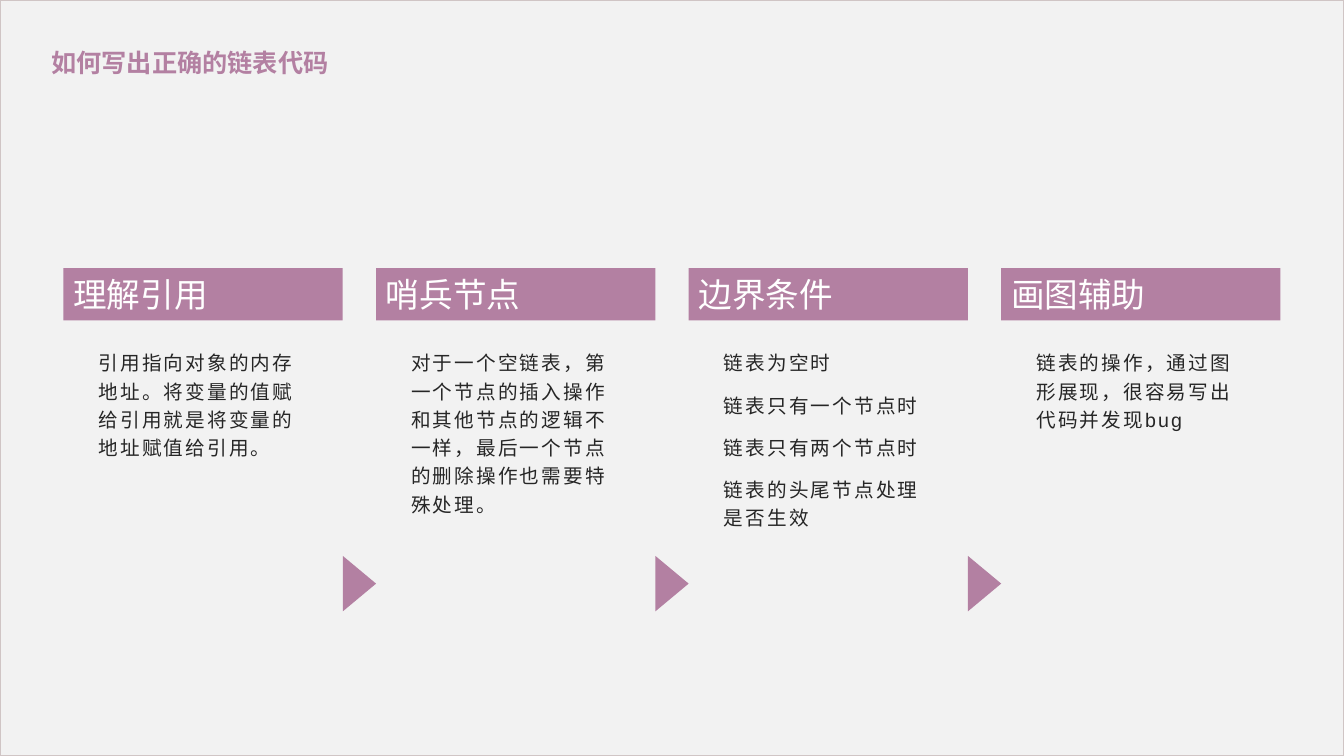
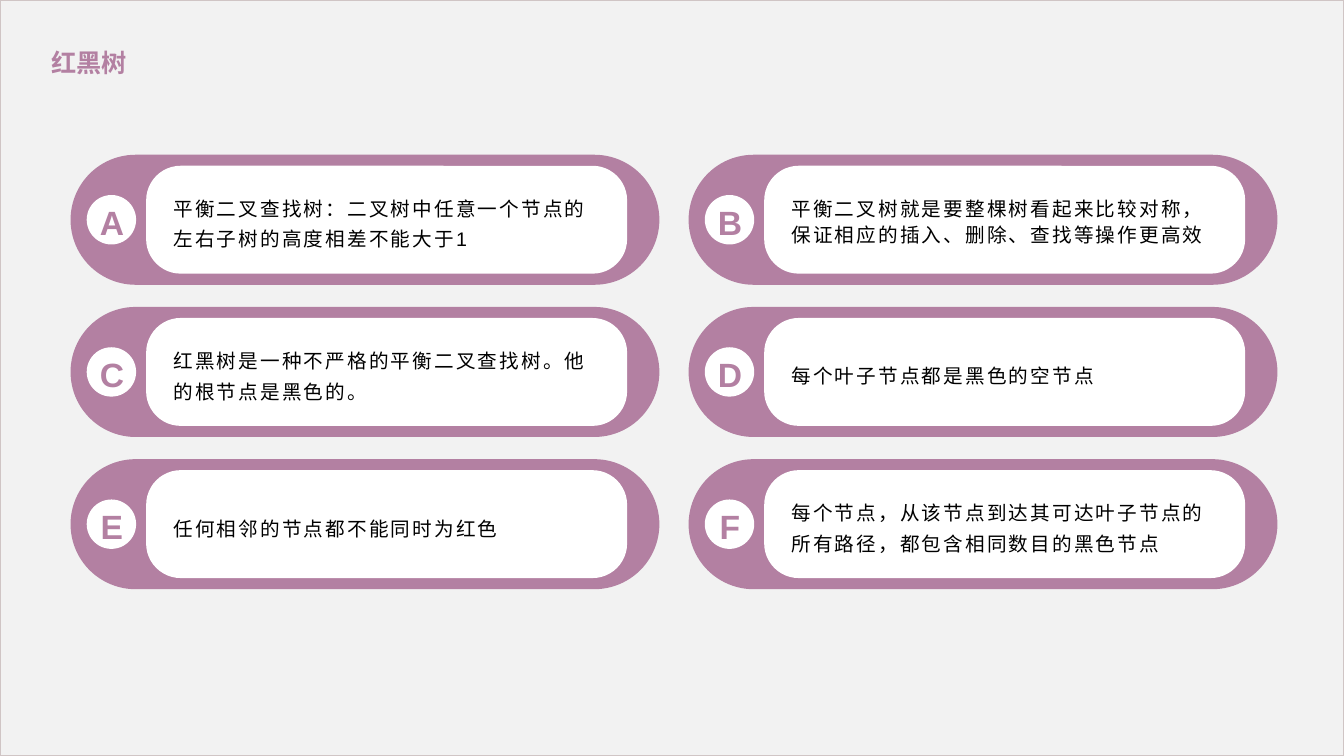
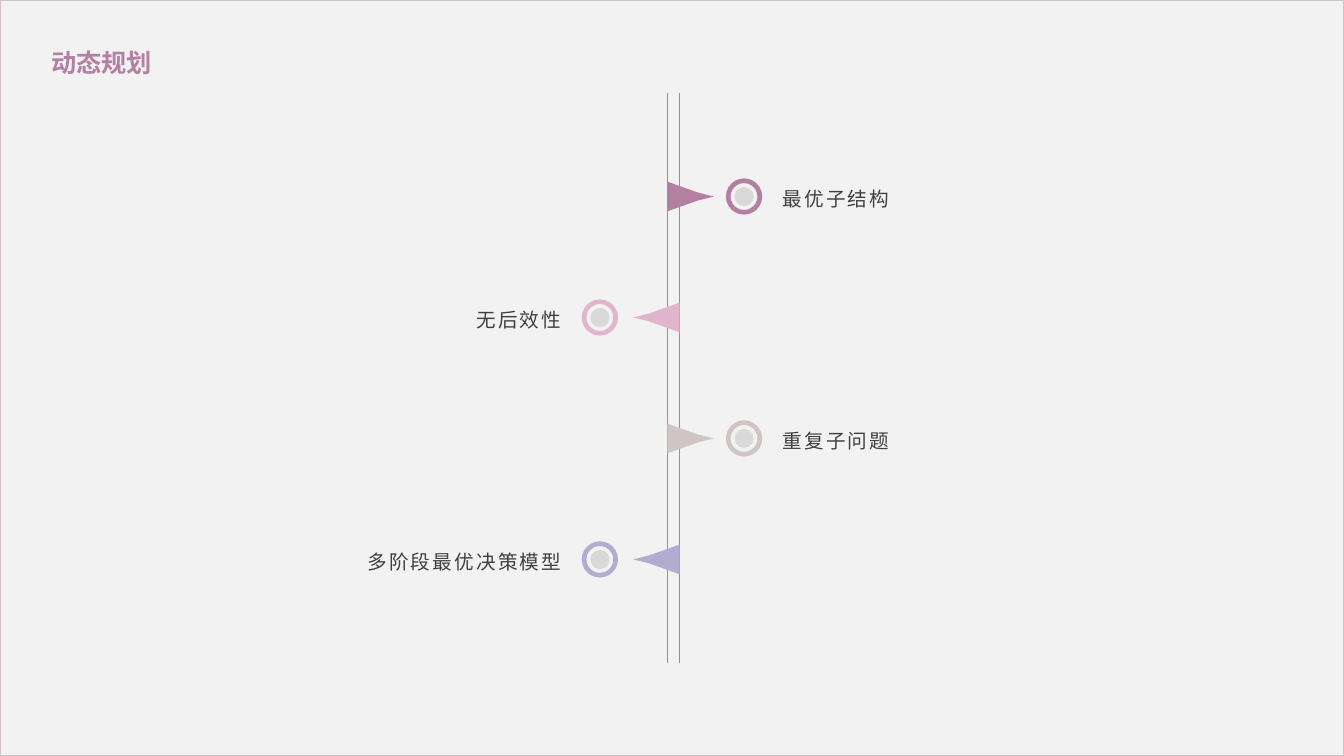
from dataclasses import dataclass

from lxml import etree
from pptx import Presentation
from pptx.dml.color import RGBColor
from pptx.enum.dml import MSO_THEME_COLOR
from pptx.enum.lang import MSO_LANGUAGE_ID
from pptx.enum.shapes import MSO_CONNECTOR, MSO_SHAPE
from pptx.enum.text import MSO_ANCHOR, MSO_AUTO_SIZE, PP_ALIGN
from pptx.oxml.ns import qn
from pptx.util import Inches, Pt

RECTANGLE = MSO_SHAPE.RECTANGLE
ROUNDED = MSO_SHAPE.ROUNDED_RECTANGLE
OVAL = MSO_SHAPE.OVAL
DONUT = MSO_SHAPE.DONUT
TRIANGLE = MSO_SHAPE.ISOSCELES_TRIANGLE
STRAIGHT = MSO_CONNECTOR.STRAIGHT
TOP, MIDDLE = MSO_ANCHOR.TOP, MSO_ANCHOR.MIDDLE
LEFT, CENTER, RIGHT = PP_ALIGN.LEFT, PP_ALIGN.CENTER, PP_ALIGN.RIGHT
CHINESE = MSO_LANGUAGE_ID.SIMPLIFIED_CHINESE


@dataclass(frozen=True)
class Theme:
    mauve: str = "B380A2"
    pink: str = "E1B6CD"
    taupe: str = "D0C5C5"
    lavender: str = "B0ADD1"
    paper: str = "F2F2F2"
    white: str = "FFFFFF"
    dot: str = "D9D9D9"
    black: str = "000000"
    body: str = "262626"
    label: str = "404040"
    title_font: str = "Calibri"
    text_font: str = "Arial"
    title_size: int = 18
    heading_size: int = 24
    body_size: int = 14
    tracking: str = "150"  # hundredths of a point


theme = Theme()
WIDTH, HEIGHT = 13.33, 7.5


def add_box(slide, kind, left, top, width, height, fill, corner=None):
    shape = slide.shapes.add_shape(
        kind, Inches(left), Inches(top), Inches(width), Inches(height))
    shape.shadow.inherit = False
    shape.fill.solid()
    shape.fill.fore_color.rgb = RGBColor.from_string(fill)
    shape.line.fill.background()
    if corner is not None:
        shape.adjustments[0] = corner
    return shape


def write(shape, lines, size, color, font=theme.text_font, bold=False,
          align=LEFT, anchor=MIDDLE, spacing=1.0, after=0, tracked=True):
    frame = shape.text_frame
    frame.word_wrap = True
    frame.vertical_anchor = anchor
    frame.text = "\n".join(lines)
    for paragraph in frame.paragraphs:
        paragraph.alignment = align
        paragraph.line_spacing = spacing
        paragraph.space_after = Pt(after)
        paragraph.font.name = font
        paragraph.font.size = Pt(size)
        paragraph.font.bold = bold
        paragraph.font.color.rgb = RGBColor.from_string(color)
        paragraph.font.language_id = CHINESE
        if tracked:
            paragraph.font._element.set("spc", theme.tracking)


presentation = Presentation()
presentation.slide_width = Inches(WIDTH)
presentation.slide_height = Inches(HEIGHT)

# Shared page: framed background and title
slides = []
for title in ["如何写出正确的链表代码", "红黑树", "动态规划"]:
    slide = presentation.slides.add_slide(presentation.slide_layouts[6])
    page = add_box(slide, RECTANGLE, 0, 0, WIDTH, HEIGHT, theme.paper)
    page.line.color.rgb = RGBColor.from_string(theme.taupe)
    page.line.width = Pt(1)
    title_box = slide.shapes.add_textbox(
        Inches(0.41), Inches(0.42), Inches(3), Inches(0.4))
    write(title_box, [title], theme.title_size, theme.mauve,
          font=theme.title_font, bold=True, anchor=TOP, tracked=False)
    title_box.text_frame.auto_size = MSO_AUTO_SIZE.SHAPE_TO_FIT_TEXT
    slides.append(slide)
list_slide, tree_slide, dynamic_slide = slides

# Linked lists: four columns with arrows in the gaps
columns = [
    ("理解引用", ["引用指向对象的内存地址。将变量的值赋给引用就是将变量的地址赋值给引用。"]),
    ("哨兵节点", ["对于一个空链表，第一个节点的插入操作和其他节点的逻辑不一样，"
              "最后一个节点的删除操作也需要特殊处理。"]),
    ("边界条件", ["链表为空时", "链表只有一个节点时", "链表只有两个节点时",
              "链表的头尾节点处理是否生效"]),
    ("画图辅助", ["链表的操作，通过图形展现，很容易写出代码并发现bug"]),
]
column_width, gap, arrow_span, arrow_middle = 2.77, 0.33, 0.55, 5.79
for index, (heading, lines) in enumerate(columns):
    left = 0.63 + index * (column_width + gap)
    band = add_box(list_slide, RECTANGLE, left, 2.66, column_width, 0.52, theme.mauve)
    write(band, [heading], theme.heading_size, theme.white, tracked=False)
    body = list_slide.shapes.add_textbox(
        Inches(left + 0.25), Inches(3.39), Inches(2.28), Inches(2.33))
    write(body, lines, theme.body_size, theme.body, anchor=TOP, spacing=1.2, after=10)
    if index < len(columns) - 1:
        arrow_center = left + column_width + gap / 2
        arrow = add_box(list_slide, TRIANGLE, arrow_center - arrow_span / 2,
                        arrow_middle - gap / 2, arrow_span, gap, theme.mauve)
        arrow.rotation = 90

# Red-black tree: lettered pills, two columns by three rows
rules = [
    ("A", "平衡二叉查找树：二叉树中任意一个节点的左右子树的高度相差不能大于1", 1.3),
    ("B", "平衡二叉树就是要整棵树看起来比较对称，保证相应的插入、删除、查找等操作更高效", 1.1),
    ("C", "红黑树是一种不严格的平衡二叉查找树。他的根节点是黑色的。", 1.3),
    ("D", "每个叶子节点都是黑色的空节点", 1.3),
    ("E", "任何相邻的节点都不能同时为红色", 1.3),
    ("F", "每个节点，从该节点到达其可达叶子节点的所有路径，都包含相同数目的黑色节点", 1.3),
]
for index, (letter, rule, spacing) in enumerate(rules):
    row, column = divmod(index, 2)
    left = 0.7 + column * 6.13
    middle = 2.18 + row * 1.51
    add_box(tree_slide, ROUNDED, left, middle - 0.645, 5.84, 1.29, theme.mauve, 0.5)
    add_box(tree_slide, ROUNDED, left + 0.75, middle - 0.535, 4.77, 1.07,
            theme.white, 0.32)
    rule_box = tree_slide.shapes.add_textbox(
        Inches(left + 0.92), Inches(middle - 0.44), Inches(4.41), Inches(0.89))
    write(rule_box, [rule], theme.body_size, theme.black, spacing=spacing)
    add_box(tree_slide, OVAL, left + 0.16, middle - 0.245, 0.49, 0.49, theme.white)
    letter_box = tree_slide.shapes.add_textbox(
        Inches(left + 0.06), Inches(middle - 0.28), Inches(0.7), Inches(0.56))
    write(letter_box, [letter], theme.heading_size, theme.mauve, bold=True,
          align=CENTER, spacing=1.1)

# Dynamic programming: two rails with alternating markers
left_rail, right_rail = 6.62, 6.74
for rail in (left_rail, right_rail):
    line = dynamic_slide.shapes.add_connector(
        STRAIGHT, Inches(rail), Inches(0.92), Inches(rail), Inches(6.58))
    line.line.color.rgb = RGBColor.from_string(theme.mauve)
    line.line.width = Pt(0.5)
    etree.SubElement(line._element.spPr, qn("a:effectLst"))

properties = [
    ("最优子结构", theme.mauve),
    ("无后效性", theme.pink),
    ("重复子问题", theme.taupe),
    ("多阶段最优决策模型", theme.lavender),
]
# Upper edge of a spike: reach from the rail, half height
spike_edge = [(0, 0.15), (0.02, 0.14), (0.16, 0.09), (0.3, 0.04), (0.46, 0)]
spike_outline = spike_edge + [(reach, -half) for reach, half in spike_edge[-2::-1]]
label_width = 3.18
for index, (name, color) in enumerate(properties):
    middle = 1.95 + index * 1.2
    if index % 2 == 0:
        side, rail, align = 1, left_rail, LEFT
    else:
        side, rail, align = -1, right_rail, RIGHT
    points = [(Inches(rail + side * reach), Inches(middle - half))
              for reach, half in spike_outline]
    builder = dynamic_slide.shapes.build_freeform(*points[0])
    builder.add_line_segments(points[1:], close=True)
    spike = builder.convert_to_shape()
    spike.shadow.inherit = False
    spike.fill.solid()
    spike.fill.fore_color.rgb = RGBColor.from_string(color)
    spike.line.fill.background()

    marker = WIDTH / 2 + side * 0.715
    for kind, size, fill, ring in [(DONUT, 0.36, color, 0.13),
                                   (OVAL, 0.19, theme.dot, None)]:
        add_box(dynamic_slide, kind, marker - size / 2, middle - size / 2,
                size, size, fill, ring)
    label_center = WIDTH / 2 + side * (1 + label_width / 2)
    label = dynamic_slide.shapes.add_textbox(
        Inches(label_center - label_width / 2), Inches(middle - 0.42),
        Inches(label_width), Inches(0.84))
    write(label, [name], theme.body_size, theme.label, align=align, spacing=1.2)

presentation.save("out.pptx")
